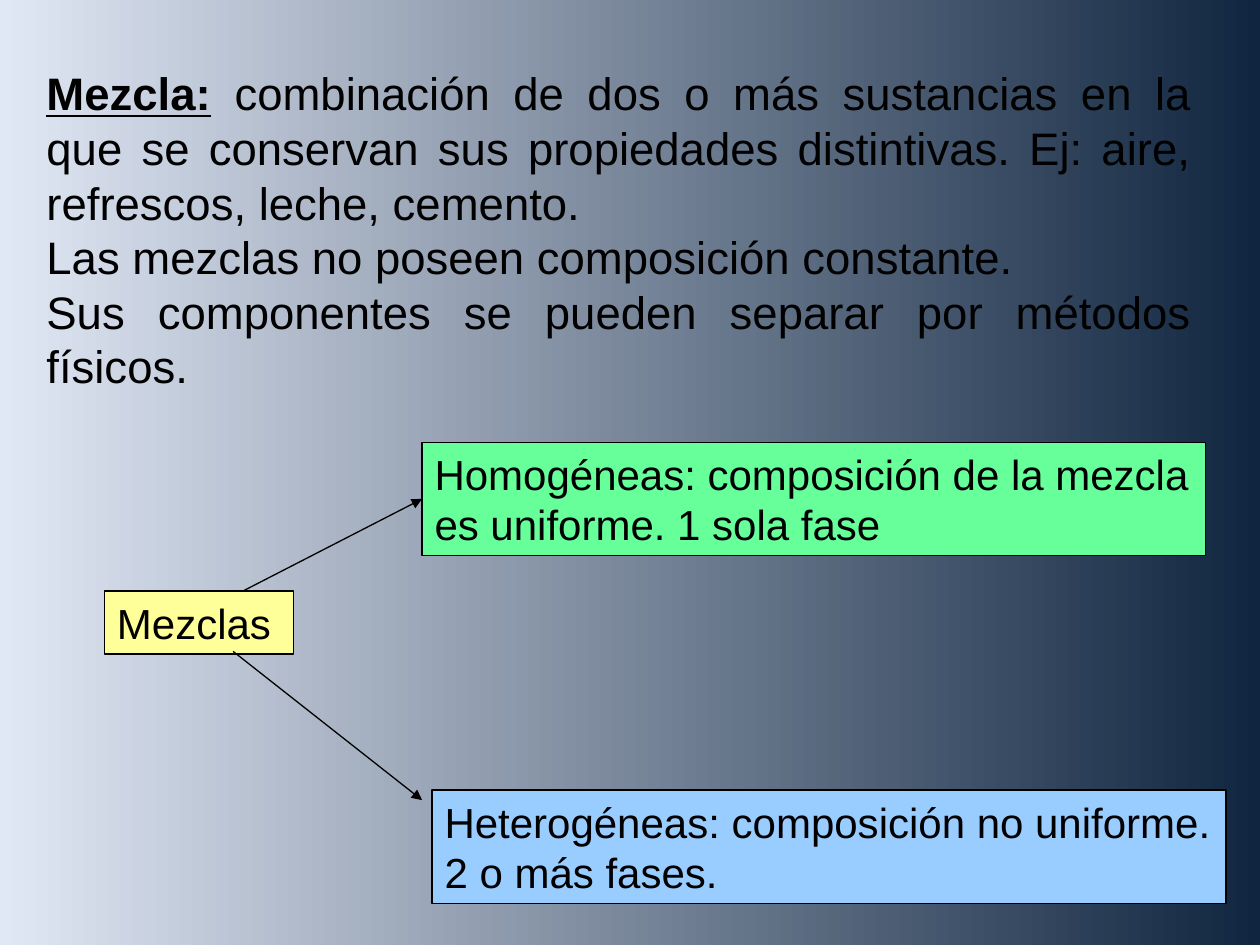
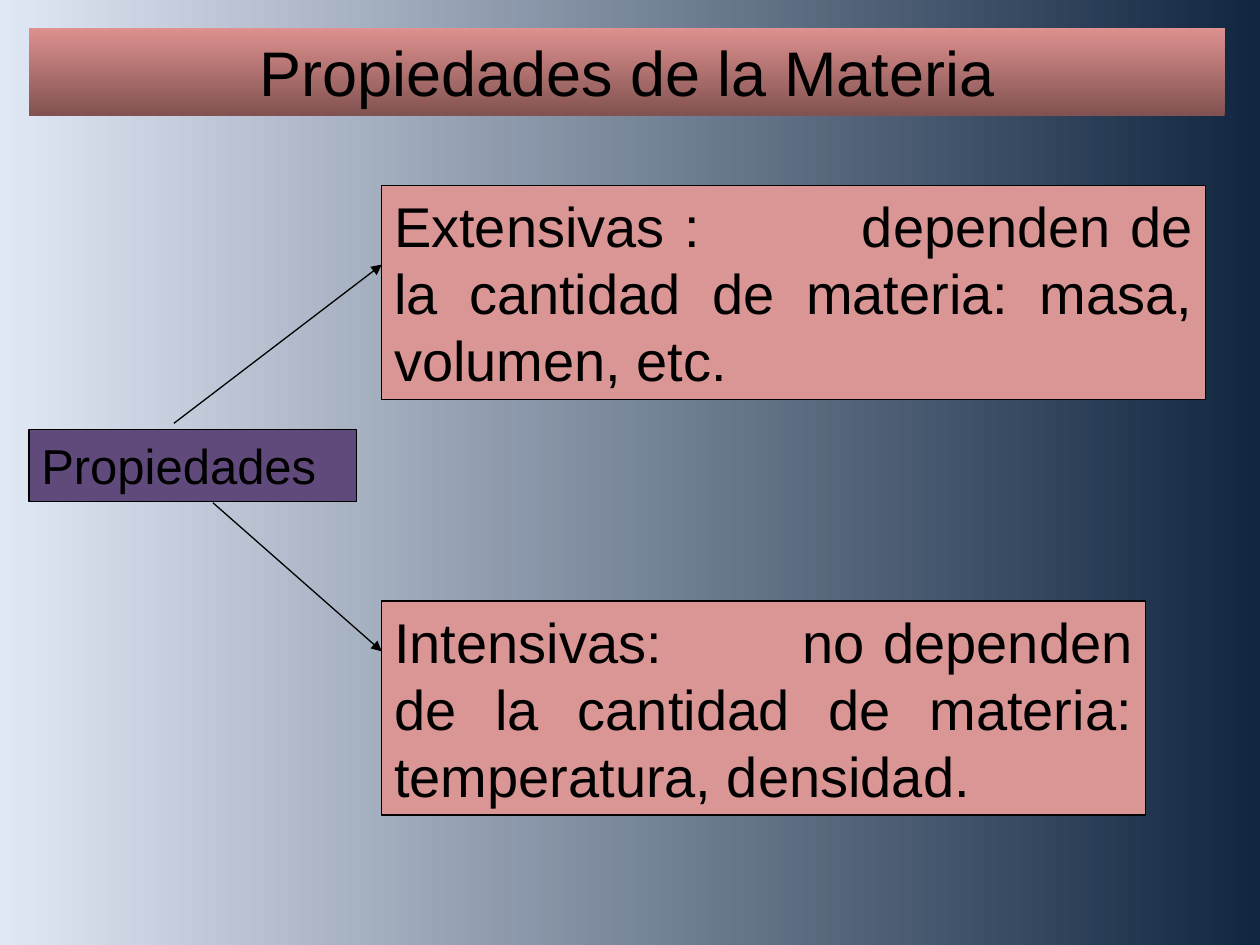
from pptx import Presentation
from pptx.dml.color import RGBColor as RGB
from pptx.enum.shapes import MSO_CONNECTOR as Link, MSO_SHAPE as Shape
from pptx.enum.text import MSO_ANCHOR as Anchor, MSO_AUTO_SIZE as Auto, PP_ALIGN as Align
from pptx.oxml.ns import qn
from pptx.util import Inches, Pt
from lxml.etree import SubElement

BLACK = RGB(0x00, 0x00, 0x00)
NAVY = RGB(0x10, 0x25, 0x3F)
MIST = RGB(0xE1, 0xE8, 0xF5)
YELLOW = RGB(0xFF, 0xFF, 0x99)
GREEN = RGB(0x66, 0xFF, 0x99)
SKY = RGB(0x99, 0xCC, 0xFF)
PURPLE = RGB(0x60, 0x4A, 0x7B)
PINK = RGB(0xD9, 0x96, 0x94)
BROWN = RGB(0x81, 0x52, 0x51)
ROSE = RGB(0xDE, 0x91, 0x8F)
FONT = "Arial"
LEFT, MID, JUST = Align.LEFT, Align.CENTER, Align.JUSTIFY

deck = Presentation()
deck.slide_width, deck.slide_height = Inches(10), Inches(7.5)
# Grid of 100 columns by 75 rows, square cells
UNIT = deck.slide_width / 100


def box(slide, at, fill, size, align, paras, tab=None):
    """Text in a rectangle; fill is a colour, a pair for a gradient, or None."""
    place = [round(n * UNIT) for n in at]
    if fill is None:
        item = slide.shapes.add_textbox(*place)
    else:
        item = slide.shapes.add_shape(Shape.RECTANGLE, *place)
        item.shadow.inherit = False
        if isinstance(fill, list):
            blend(item.fill, fill, 90)
            item.line.fill.background()
        else:
            item.fill.solid()
            item.fill.fore_color.rgb = fill
            item.line.color.rgb = BLACK
            item.line.width = Pt(0.75)
    frame = item.text_frame
    frame.word_wrap = True
    frame.auto_size = Auto.SHAPE_TO_FIT_TEXT
    frame.vertical_anchor = Anchor.TOP
    for i, runs in enumerate(paras):
        para = frame.add_paragraph() if i else frame.paragraphs[0]
        para.alignment = align
        if tab:
            tabs = SubElement(para._p.get_or_add_pPr(), qn("a:tabLst"))
            SubElement(tabs, qn("a:tab"), pos=str(round(tab * UNIT)), algn="l")
        for text, bold in runs:
            run = para.add_run()
            run.text = text
            font = run.font
            font.name, font.size, font.color.rgb = FONT, Pt(size), BLACK
            font.bold = font.underline = bold
    return item


def blend(fill, pair, angle):
    fill.gradient()
    fill.gradient_angle = angle
    for stop, color in zip(fill.gradient_stops, pair):
        stop.color.rgb = color


# Shared background and blank slides
blend(deck.slide_master.background.fill, [NAVY, MIST], 180)
blank = deck.slide_layouts[6]
mix, props = [deck.slides.add_slide(blank) for _ in range(2)]

# Slide 1: definition of a mixture and its two kinds
box(mix, (2.7, 4.7, 92.9, 27), None, 26, JUST, [
    [("Mezcla:", True),
     (" combinación de dos o más sustancias en la que se conservan sus "
      "propiedades distintivas. Ej: aire, refrescos, leche, cemento.", False)],
    [("Las mezclas no poseen composición constante.", False)],
    [("Sus componentes se pueden separar por métodos físicos.", False)]])
box(mix, (8.3, 46.9, 15, 5), YELLOW, 24, LEFT, [[("Mezclas", False)]])
same = box(mix, (33.5, 35.1, 62.2, 9), GREEN, 24, LEFT, [
    [("Homogéneas: composición de la mezcla es uniforme. 1 sola fase", False)]])
box(mix, (34.3, 62.7, 63, 9), SKY, 24, LEFT, [
    [("Heterogéneas: composición no uniforme. 2 o más fases.", False)]])

# Slide 2: title band and the two kinds of property
box(props, (2.3, 2.2, 94.9, 7), [BROWN, ROSE], 36, MID,
    [[("Propiedades de la Materia", False)]])
box(props, (2.3, 34.1, 26, 5.7), PURPLE, 28, LEFT, [[("Propiedades", False)]])
for row, wide, tab, text in [
        (14.7, 65.4, 36.8, "Extensivas :\tdependen de la cantidad de materia: "
                           "masa, volumen, etc."),
        (47.7, 60.6, 32.4, "Intensivas:\tno dependen de la cantidad de materia: "
                           "temperatura, densidad.")]:
    box(props, (30.3, row, wide, 17), PINK, 32, JUST, [[(text, False)]], tab)

# Arrows from each concept to its kinds
for slide, ends, goal in [
        (mix, (19.3, 46.9, 33.5, 39.6), same),
        (mix, (18.5, 51.7, 33.5, 63.5), None),
        (props, (13.8, 33.6, 30.3, 21), None),
        (props, (16.9, 39.9, 30.3, 51.7), None)]:
    arrow = slide.shapes.add_connector(
        Link.STRAIGHT, *[round(n * UNIT) for n in ends])
    if goal:
        arrow.end_connect(goal, 1)
    arrow.line.color.rgb = BLACK
    arrow.line.width = Pt(0.75)
    SubElement(arrow.line._get_or_add_ln(), qn("a:tailEnd"), type="triangle")
    SubElement(arrow._element.spPr, qn("a:effectLst"))

deck.save("out.pptx")
